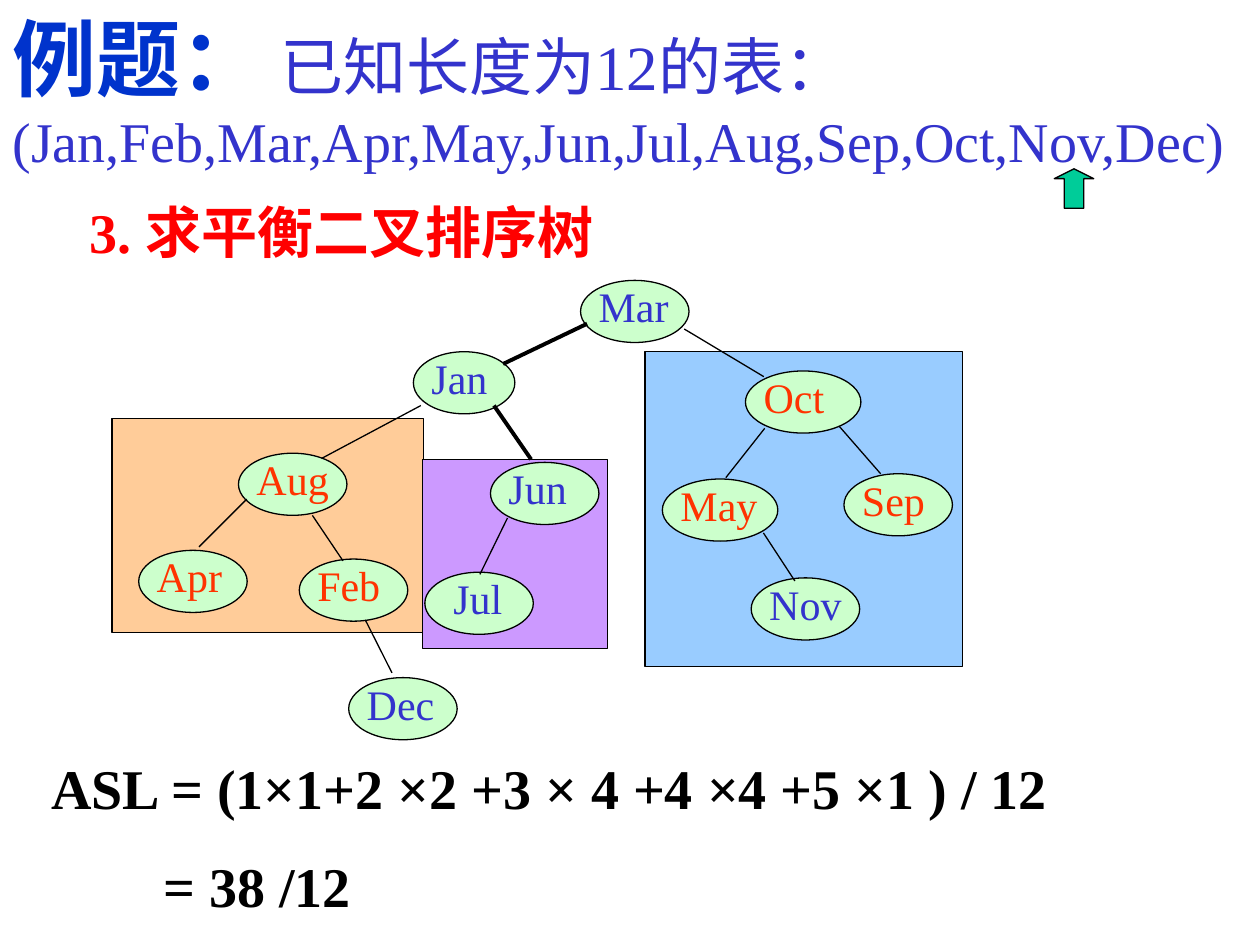
from dataclasses import dataclass

from lxml import etree
from pptx import Presentation
from pptx.dml.color import RGBColor
from pptx.enum import shapes
from pptx.oxml import ns
from pptx.util import Pt


@dataclass(frozen=True)
class Theme:
    font: str = "Times New Roman"
    black: str = "000000"
    title: str = "0033CC"
    blue: str = "3333CC"
    heading: str = "FF0000"
    orange: str = "FF3300"
    node: str = "CCFFCC"
    left_panel: str = "FFCC99"
    middle_panel: str = "CC99FF"
    right_panel: str = "99CCFF"
    arrow: str = "00CC99"
    title_size: int = 48
    gap_size: int = 40
    intro_size: int = 36
    body_size: int = 32
    label_size: int = 24
    thin: float = 0.75
    thick: float = 2.25


THEME = Theme()
NODE_HEIGHT = 35.5

# Left, top, width, height, fill
PANELS = [
    (64, 239, 178, 122.5, THEME.left_panel),
    (368.5, 201, 181.5, 180, THEME.right_panel),
    (241.5, 262.5, 105.5, 108, THEME.middle_panel),
]

# Month, left, top, width, label colour, label indent
NODES = [
    ("Mar", 331.75, 160.25, 62, THEME.blue, 0),
    ("Jan", 236.25, 201, 58, THEME.blue, 0),
    ("Oct", 426, 212, 66, THEME.orange, 0),
    ("Aug", 136.25, 259, 62, THEME.orange, 0),
    ("Jun", 280.25, 264.25, 62, THEME.blue, 0),
    ("May", 378.5, 273.75, 66, THEME.orange, 0),
    ("Sep", 482.25, 270.75, 62, THEME.orange, 0),
    ("Apr", 79.25, 314.5, 62, THEME.orange, 0),
    ("Feb", 171, 319.5, 62, THEME.orange, 0),
    ("Jul", 242.75, 327, 62, THEME.blue, 6),
    ("Nov", 429.25, 330.25, 62, THEME.blue, 0),
    ("Dec", 199.25, 387.25, 62, THEME.blue, 0),
]

# Start x, start y, end x, end y, width
EDGES = [
    (335.5, 185, 287.5, 208, THEME.thick),        # Mar - Jan
    (391, 188, 436.5, 215.25, THEME.thin),        # Mar - Oct
    (240.5, 231.75, 183.75, 262, THEME.thin),     # Jan - Aug
    (282.25, 231.75, 303.5, 262.5, THEME.thick),  # Jan - Jun
    (141, 285.25, 113.75, 312.5, THEME.thin),     # Aug - Apr
    (178.5, 294.5, 196, 320.5, THEME.thin),       # Aug - Feb
    (208.75, 354.25, 224, 384.5, THEME.thin),     # Feb - Dec
    (290, 296, 274.25, 328.25, THEME.thin),       # Jun - Jul
    (437, 244.75, 414.75, 273, THEME.thin),       # Oct - May
    (479.5, 243.5, 503.25, 270.75, THEME.thin),   # Oct - Sep
    (436.25, 304.5, 454.25, 332, THEME.thin),     # May - Nov
]


def add_run(paragraph, words, size, color, bold=False):
    run = paragraph.add_run()
    run.text = words
    run.font.name = THEME.font
    run.font.size = Pt(size)
    run.font.bold = bold
    run.font.color.rgb = RGBColor.from_string(color)


def add_text_frame(slide, left, top, width, height, wrap=True):
    box = slide.shapes.add_textbox(Pt(left), Pt(top), Pt(width), Pt(height))
    box.text_frame.word_wrap = wrap
    return box.text_frame


def add_outlined(slide, kind, left, top, width, height, fill):
    shape = slide.shapes.add_shape(kind, Pt(left), Pt(top), Pt(width), Pt(height))
    shape.shadow.inherit = False
    shape.fill.solid()
    shape.fill.fore_color.rgb = RGBColor.from_string(fill)
    shape.line.color.rgb = RGBColor.from_string(THEME.black)
    shape.line.width = Pt(THEME.thin)
    return shape


def add_node(slide, month, left, top, width, color, indent):
    add_outlined(slide, shapes.MSO_SHAPE.OVAL, left, top, width, NODE_HEIGHT, THEME.node)
    label = add_text_frame(slide, left + 3.25 + indent, top - 3.25, width - 6, 36, wrap=False)
    add_run(label.paragraphs[0], month, THEME.label_size, color)


def add_edge(slide, start_x, start_y, end_x, end_y, width):
    edge = slide.shapes.add_connector(
        shapes.MSO_CONNECTOR.STRAIGHT, Pt(start_x), Pt(start_y), Pt(end_x), Pt(end_y))
    edge.line.color.rgb = RGBColor.from_string(THEME.black)
    edge.line.width = Pt(width)
    etree.SubElement(edge._element.spPr, ns.qn("a:effectLst"))


def add_problem(slide):
    frame = add_text_frame(slide, 0, 0, 720, 103)
    statement = frame.paragraphs[0]
    add_run(statement, "例题：", THEME.title_size, THEME.title, bold=True)
    add_run(statement, " ", THEME.gap_size, THEME.black)
    add_run(statement, "已知长度为12的表：", THEME.intro_size, THEME.blue)
    add_run(frame.add_paragraph(), "(Jan,Feb,Mar,Apr,May,Jun,Jul,Aug,Sep,Oct,Nov,Dec)",
            THEME.body_size, THEME.blue)


def add_heading(slide):
    frame = add_text_frame(slide, 44, 109.5, 313, 45.5, wrap=False)
    add_run(frame.paragraphs[0], "3. 求平衡二叉排序树", THEME.body_size, THEME.heading, bold=True)


def add_search_length(slide):
    frame = add_text_frame(slide, 22.25, 427, 697.5, 103)
    add_run(frame.paragraphs[0], "ASL = (1×1+2 ×2 +3 × 4 +4 ×4 +5 ×1 ) / 12",
            THEME.body_size, THEME.black, bold=True)
    result = frame.add_paragraph()
    result.space_before = Pt(17.5)
    result._p.get_or_add_pPr().set("marL", str(Pt(64)))
    add_run(result, "= 38 /12", THEME.body_size, THEME.black, bold=True)


def main():
    deck = Presentation()
    deck.slide_width, deck.slide_height = Pt(720), Pt(540)
    slide = deck.slides.add_slide(deck.slide_layouts[6])

    add_problem(slide)
    add_heading(slide)
    add_search_length(slide)
    for panel in PANELS:
        add_outlined(slide, shapes.MSO_SHAPE.RECTANGLE, *panel)
    for node in NODES:
        add_node(slide, *node)
    for edge in EDGES:
        add_edge(slide, *edge)
    pointer = add_outlined(slide, shapes.MSO_SHAPE.UP_ARROW, 602.5, 96.5, 22.5, 22.5, THEME.arrow)
    pointer.adjustments[0] = 0.5
    pointer.adjustments[1] = 0.25

    deck.save("out.pptx")


if __name__ == "__main__":
    main()
